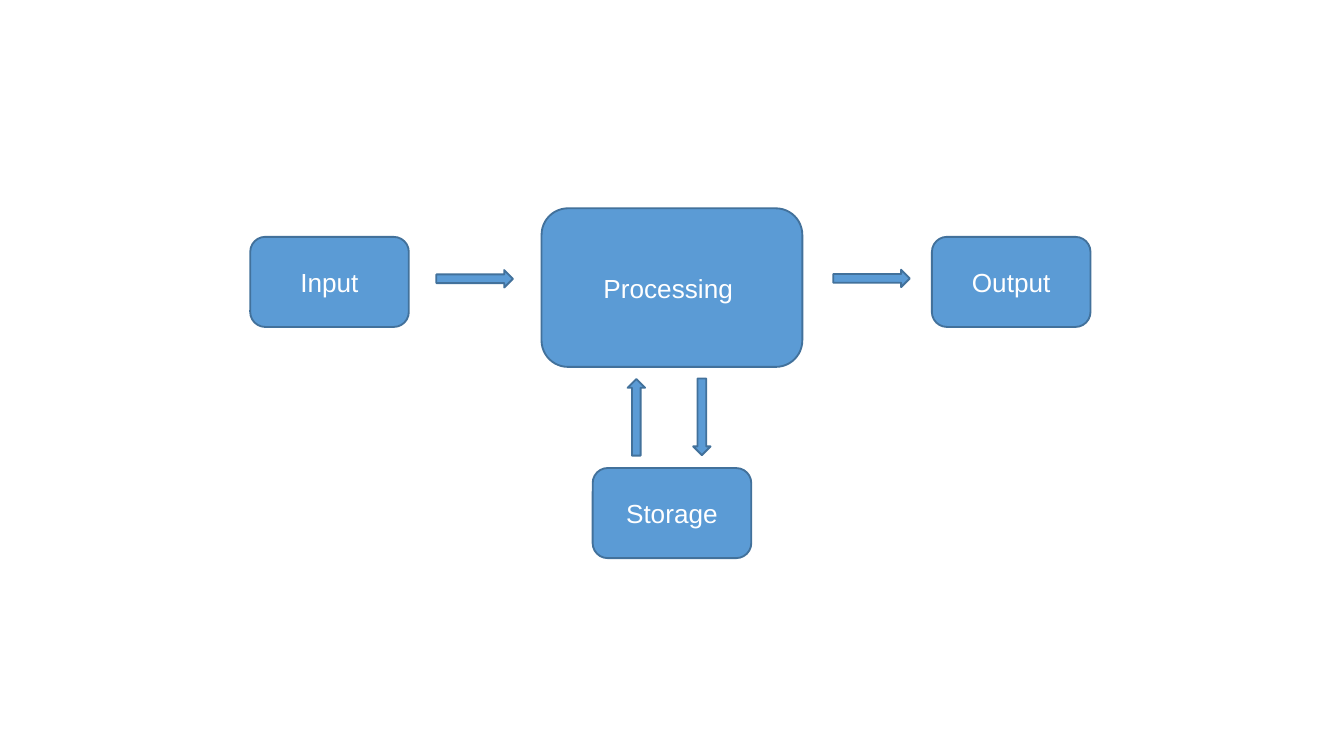
from dataclasses import dataclass

from pptx import Presentation
from pptx.dml.color import RGBColor
from pptx.enum.shapes import MSO_SHAPE
from pptx.enum.text import MSO_ANCHOR, PP_ALIGN
from pptx.util import Inches, Pt


@dataclass(frozen=True)
class Theme:
    fill: RGBColor = RGBColor(0x5B, 0x9B, 0xD5)
    line: RGBColor = RGBColor(0x42, 0x71, 0x9B)
    text: RGBColor = RGBColor(0xFF, 0xFF, 0xFF)
    font: str = "Arial"
    text_size: Pt = Pt(14)
    line_width: Pt = Pt(1)


@dataclass(frozen=True)
class Box:
    left: float
    top: float


THEME = Theme()
CELL = Inches(0.1)
SMALL = (11.8, 6.7)
LARGE = (19.4, 11.8)
ARROW = (5.7, 1.3)
STAGES = [
    ("Input", (5.92, 5.48), SMALL),
    ("Processing ", (31.4, 5.9), LARGE),
    ("Storage", (31.4, 22.68), SMALL),
    ("Output", (56.64, 5.48), SMALL),
]
ARROWS = [
    ((16.72, 5.25), 0),
    ((46.25, 5.22), 0),
    ((28.75, 15.55), 270),
    ((33.62, 15.52), 90),
]


def add_centred(page, box, kind, centre, size):
    column, row = centre
    width, height = size
    shape = page.shapes.add_shape(
        kind,
        round((box.left + column - width / 2) * CELL),
        round((box.top + row - height / 2) * CELL),
        round(width * CELL),
        round(height * CELL),
    )
    shape.shadow.inherit = False
    shape.fill.solid()
    shape.fill.fore_color.rgb = THEME.fill
    shape.line.color.rgb = THEME.line
    shape.line.width = THEME.line_width
    return shape


def add_label(shape, label):
    frame = shape.text_frame
    frame.word_wrap = True
    frame.vertical_anchor = MSO_ANCHOR.MIDDLE
    para = frame.paragraphs[0]
    para.alignment = PP_ALIGN.CENTER
    span = para.add_run()
    span.text = label
    span.font.name = THEME.font
    span.font.size = THEME.text_size
    span.font.color.rgb = THEME.text


def draw_flow(page, box):
    for label, centre, size in STAGES:
        stage = add_centred(page, box, MSO_SHAPE.ROUNDED_RECTANGLE, centre, size)
        add_label(stage, label)
    for centre, angle in ARROWS:
        arrow = add_centred(page, box, MSO_SHAPE.RIGHT_ARROW, centre, ARROW)
        arrow.rotation = angle


def main():
    deck = Presentation()
    deck.slide_width = Inches(10)
    deck.slide_height = deck.slide_width * 9 // 16
    page = deck.slides.add_slide(deck.slide_layouts[6])
    draw_flow(page, Box(18.6, 15.5))
    deck.save("out.pptx")


if __name__ == "__main__":
    main()
